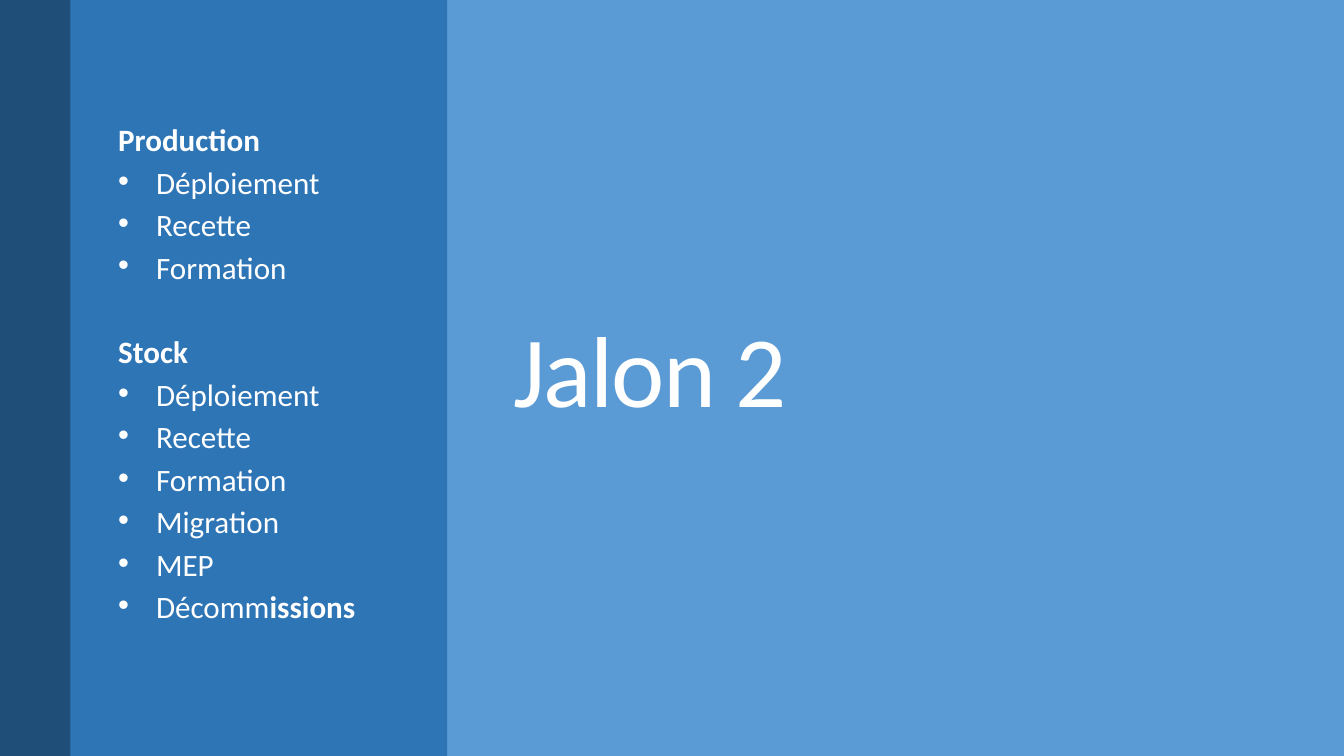
import pptx
import pptx.util
import pptx.dml.color
import pptx.enum.shapes
import pptx.enum.text
import pptx.oxml.ns
import lxml.etree

PX = 9525
WIDE, HIGH = 1280, 720
TOP, TALL = 112, 496
SKY, BLUE, NAVY, WHITE = "5B9BD5", "2E75B6", "1F4E79", "FFFFFF"


def tint(fill, color):
    fill.solid()
    fill.fore_color.rgb = pptx.dml.color.RGBColor.from_string(color)


def block(width, color):
    shape = slide.shapes.add_shape(
        pptx.enum.shapes.MSO_SHAPE.RECTANGLE, 0, 0, width * PX, HIGH * PX)
    shape.shadow.inherit = False
    shape.line.fill.background()
    tint(shape.fill, color)


deck = pptx.Presentation()
deck.slide_width, deck.slide_height = WIDE * PX, HIGH * PX
slide = deck.slides.add_slide(deck.slide_layouts[1])
tint(slide.background.fill, SKY)
title, body = slide.placeholders
tree = title._element.getparent()

for holder, left, width in ((title, 479, 612), (body, 103, 290)):
    holder.left, holder.top = left * PX, TOP * PX
    holder.width, holder.height = width * PX, TALL * PX
    frame = holder.text_frame
    frame.word_wrap = True
    frame.auto_size = pptx.enum.text.MSO_AUTO_SIZE.NONE
    frame.vertical_anchor = pptx.enum.text.MSO_ANCHOR.MIDDLE

block(WIDE, SKY)
tree.append(title._element)
block(426, BLUE)
tree.append(body._element)
block(67, NAVY)

tint(title.fill, SKY)
title.text_frame.text = "Jalon 2"
head = title.text_frame.paragraphs[0]
head.alignment = pptx.enum.text.PP_ALIGN.LEFT
head.line_spacing = 0.8
head.font.name = "Calibri"
head.font.size = pptx.util.Pt(72)
tint(head.font.fill, WHITE)
head.runs[0]._r.get_or_add_rPr().set("spc", "-120")

groups = [
    ("Production", ["Déploiement", "Recette", "Formation"]),
    ("Stock", ["Déploiement", "Recette", "Formation", "Migration", "MEP", "Décomm"]),
]
lines = [(text, text == name, gap)
         for (name, items), gap in zip(groups, (0, 43.3))
         for text in [name] + items]

for index, (text, bold, gap) in enumerate(lines):
    para = body.text_frame.add_paragraph() if index else body.text_frame.paragraphs[0]
    para.text = text
    para.line_spacing = 0.65
    para.space_before = pptx.util.Pt(gap if bold else 13)
    props = para._p.get_or_add_pPr()
    indent = 0 if bold else 36 * PX
    props.set("marL", str(indent))
    props.set("indent", str(-indent))
    mark = lxml.etree.SubElement(
        props, pptx.oxml.ns.qn("a:buNone" if bold else "a:buChar"))
    if not bold:
        mark.set("char", "•")
    para.font.name = "Calibri"
    para.font.size = pptx.util.Pt(22.2)
    para.font.bold = bold
    tint(para.font.fill, WHITE)

tail = para.add_run()
tail.text = "issions"
tail.font.bold = True

deck.save("out.pptx")
